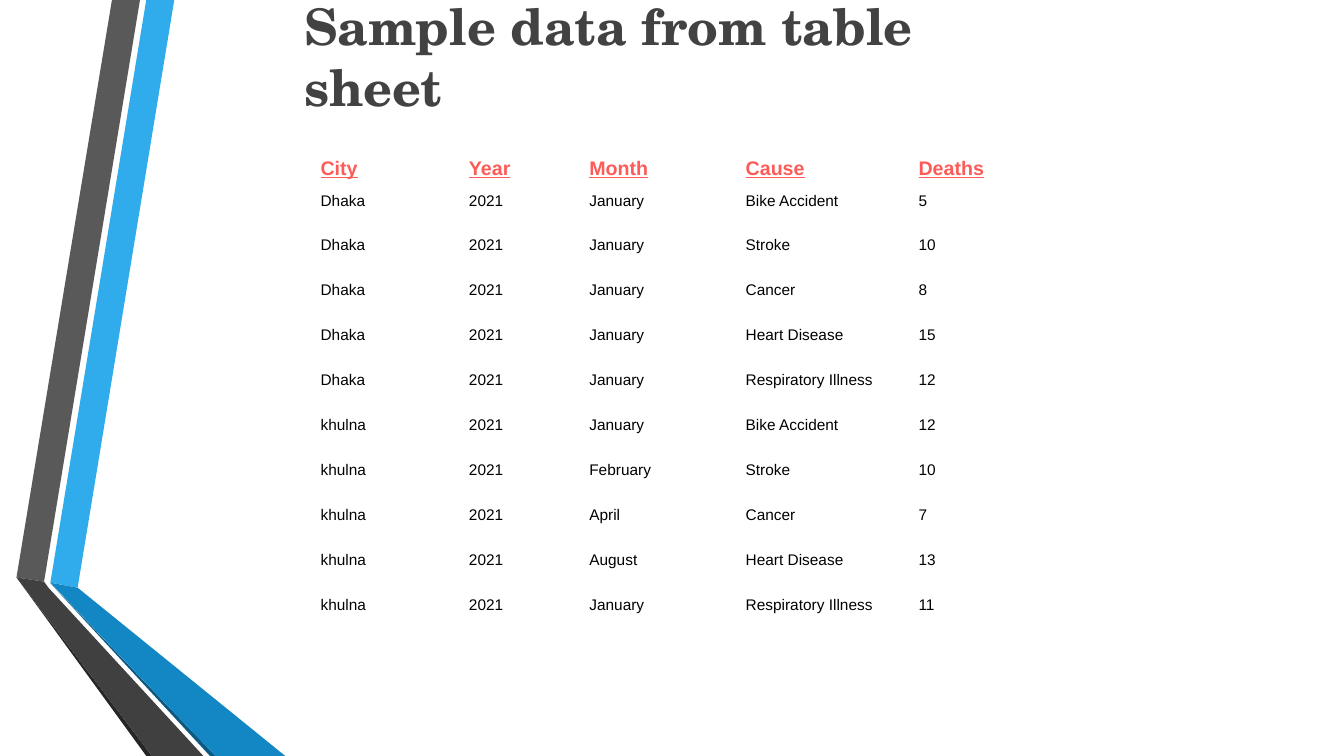
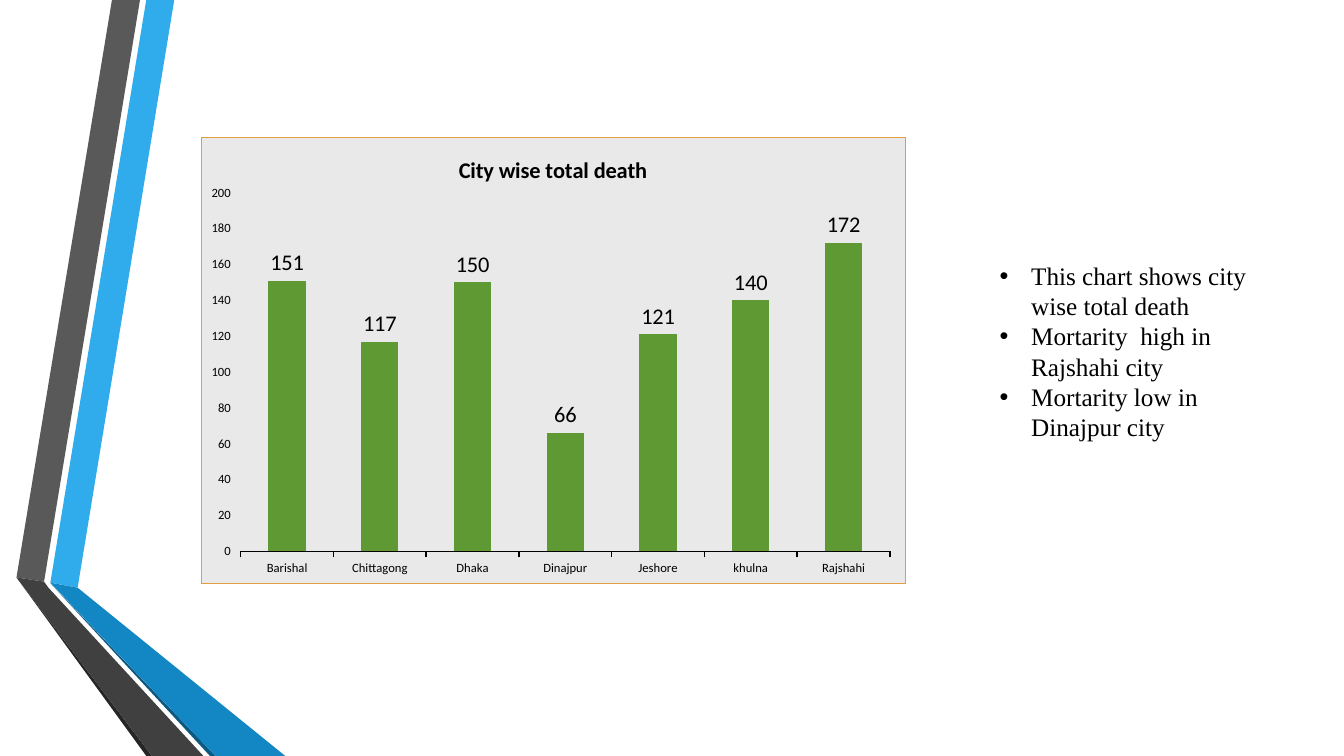
from dataclasses import dataclass

from lxml import etree
from pptx import Presentation
from pptx.chart.data import CategoryChartData
from pptx.dml.color import RGBColor
from pptx.enum.chart import XL_CHART_TYPE, XL_LABEL_POSITION, XL_TICK_MARK
from pptx.enum.text import MSO_ANCHOR, MSO_AUTO_SIZE, PP_ALIGN
from pptx.oxml import parse_xml
from pptx.oxml.ns import nsdecls, qn
from pptx.util import Pt

COLUMNS = XL_CHART_TYPE.COLUMN_CLUSTERED
LABEL_ABOVE = XL_LABEL_POSITION.OUTSIDE_END
TICK_OUT = XL_TICK_MARK.OUTSIDE
MIDDLE, TOP = MSO_ANCHOR.MIDDLE, MSO_ANCHOR.TOP
NO_FIT = MSO_AUTO_SIZE.NONE
LEFT = PP_ALIGN.LEFT
TITLE_ONLY, BLANK = 5, 6


@dataclass(frozen=True)
class Theme:
    black: str = "000000"
    bar: str = "5F9934"
    chart_fill: str = "E9E9E9"
    chart_border: str = "E29D3E"
    sky: str = "30ACEC"
    blue: str = "1287C3"
    navy: str = "0C5A82"
    grey: str = "595959"
    charcoal: str = "404040"
    coal: str = "262626"
    title: tuple = ("TeX Gyre Schola", 36, "424242", True)
    table_head: tuple = ("Arial", 14, "FD5B58", True, True)
    table_body: tuple = ("Arial", 11, "000000")
    bullets: tuple = ("Times New Roman", 18, "000000")
    chart_title: tuple = ("Calibri", 16, "000000", True)
    chart_axis: tuple = ("Calibri", 9, "000000")
    chart_label: tuple = ("Calibri", 16, "000000")


THEME = Theme()

# Corners in points, from back to front
BANDS = [
    (THEME.sky, [(36, 416.2), (55.5, 419.8), (124.5, 0), (104.5, 0)]),
    (THEME.grey, [(100, 0), (80, 0), (11.8, 412.5), (31.5, 415.5)]),
    (THEME.coal, [(11.8, 412.5), (104.5, 540), (108.6, 540)]),
    (THEME.navy, [(36, 416.6), (150, 540), (154, 540)]),
    (THEME.blue, [(36, 416.2), (154, 540), (203.8, 540), (55.5, 419.8)]),
    (THEME.charcoal, [(145.3, 540), (34.6, 419.8), (31.5, 415.5),
                      (11.8, 412.5), (108.6, 540)]),
]

DEATH_HEADINGS = ["City", "Year", "Month", "Cause", "Deaths"]
DEATH_RECORDS = [
    ("Dhaka", "2021", "January", "Bike Accident", "5"),
    ("Dhaka", "2021", "January", "Stroke", "10"),
    ("Dhaka", "2021", "January", "Cancer", "8"),
    ("Dhaka", "2021", "January", "Heart Disease", "15"),
    ("Dhaka", "2021", "January", "Respiratory Illness", "12"),
    ("khulna", "2021", "January", "Bike Accident", "12"),
    ("khulna", "2021", "February", "Stroke", "10"),
    ("khulna", "2021", "April", "Cancer", "7"),
    ("khulna", "2021", "August", "Heart Disease", "13"),
    ("khulna", "2021", "January", "Respiratory Illness", "11"),
]
CITY_DEATHS = {"Barishal": 151, "Chittagong": 117, "Dhaka": 150,
               "Dinajpur": 66, "Jeshore": 121, "khulna": 140,
               "Rajshahi": 172}
FINDINGS = [
    "This chart shows city wise total death",
    "Mortarity  high in Rajshahi city",
    "Mortarity low in Dinajpur city",
]


# Formatting
def apply(target, values):
    for name, value in values.items():
        setattr(target, name, value)


def style_font(font, style):
    name, size, color, bold, underline = (*style, False, False)[:5]
    apply(font, {"name": name, "size": Pt(size), "bold": bold,
                 "underline": underline})
    font.color.rgb = RGBColor.from_string(color)


def paint(fill, color):
    fill.solid()
    fill.fore_color.rgb = RGBColor.from_string(color)


def place(shape, left, top, width, height):
    apply(shape, {"left": Pt(left), "top": Pt(top),
                  "width": Pt(width), "height": Pt(height)})


# Shared slide parts
def add_slide(deck, layout):
    page = deck.slides.add_slide(deck.slide_layouts[layout])
    for color, corners in BANDS:
        start, *others = [(Pt(x), Pt(y)) for x, y in corners]
        builder = page.shapes.build_freeform(*start, scale=1.0)
        builder.add_line_segments(others, close=True)
        band = builder.convert_to_shape()
        band.shadow.inherit = False
        band.line.fill.background()
        paint(band.fill, color)
    return page


def set_title(page, text, bounds):
    title = page.shapes.title
    place(title, *bounds)
    frame = title.text_frame
    apply(frame, {"text": text, "word_wrap": True, "auto_size": NO_FIT,
                  "vertical_anchor": MIDDLE})
    para = frame.paragraphs[0]
    para.alignment = LEFT
    style_font(para.runs[0].font, THEME.title)


# Table
def fill_cell(cell, text, style):
    margin = Pt(4.5)
    apply(cell, {"text": text, "vertical_anchor": TOP,
                 "margin_left": margin, "margin_right": margin,
                 "margin_top": margin, "margin_bottom": margin})
    cell.fill.background()
    style_font(cell.text_frame.paragraphs[0].runs[0].font, style)


def add_records_table(page, left, top, widths, head_height, row_height):
    rows = [DEATH_HEADINGS, *DEATH_RECORDS]
    height = head_height + row_height * len(DEATH_RECORDS)
    table = page.shapes.add_table(
        len(rows), len(widths), Pt(left), Pt(top),
        Pt(sum(widths)), Pt(height)).table
    apply(table, {"first_row": False, "horz_banding": False})
    for column, width in zip(table.columns, widths):
        column.width = Pt(width)
    for index, (row, texts) in enumerate(zip(table.rows, rows)):
        row.height = Pt(row_height if index else head_height)
        style = THEME.table_body if index else THEME.table_head
        for cell, text in zip(row.cells, texts):
            fill_cell(cell, text, style)


# Chart
def set_chart_layout(parent, index, values):
    """Place a chart part by fractions of the chart area."""
    layout = parent.find(qn("c:layout"))
    if layout is not None:
        parent.remove(layout)
    layout = parse_xml(f"<c:layout {nsdecls('c')}><c:manualLayout/></c:layout>")
    for tag, value in values.items():
        etree.SubElement(layout[0], qn(f"c:{tag}")).set("val", str(value))
    parent.insert(index, layout)


def set_chart_area(chart, fill, border):
    area = parse_xml(
        f"<c:spPr {nsdecls('c', 'a')}>"
        f'<a:solidFill><a:srgbClr val="{fill}"/></a:solidFill>'
        f'<a:ln w="{Pt(0.5)}"><a:solidFill><a:srgbClr val="{border}"/>'
        "</a:solidFill></a:ln></c:spPr>")
    chart.element.find(qn("c:chart")).addnext(area)


def style_axes(chart):
    for axis in (chart.category_axis, chart.value_axis):
        apply(axis, {"has_major_gridlines": False,
                     "major_tick_mark": TICK_OUT})
        style_font(axis.tick_labels.font, THEME.chart_axis)
    line = chart.category_axis.format.line
    line.width = Pt(1)
    paint(line.fill, THEME.black)
    apply(chart.value_axis, {"minimum_scale": 0, "maximum_scale": 200,
                             "major_unit": 20})
    chart.value_axis.format.line.fill.background()


def add_city_chart(page, bounds):
    data = CategoryChartData()
    data.categories = list(CITY_DEATHS)
    data.add_series("Series 1", list(CITY_DEATHS.values()))
    chart = page.shapes.add_chart(COLUMNS, *map(Pt, bounds), data).chart
    chart.has_legend = False
    style_font(chart.font, THEME.chart_axis)
    set_chart_area(chart, THEME.chart_fill, THEME.chart_border)
    style_axes(chart)

    # Heading and plot position
    heading = chart.chart_title
    heading.text_frame.text = "City wise total death"
    style_font(heading.text_frame.paragraphs[0].runs[0].font,
               THEME.chart_title)
    set_chart_layout(heading._element, 1, {
        "xMode": "edge", "yMode": "edge", "x": 0.36, "y": 0.03})
    plot = chart.plots[0]
    set_chart_layout(plot._element.getparent(), 0, {
        "layoutTarget": "inner", "xMode": "edge", "yMode": "edge",
        "x": 0.056, "y": 0.124, "w": 0.922, "h": 0.804})

    # Bars and their values
    apply(plot, {"gap_width": 150, "vary_by_categories": False,
                 "has_data_labels": True})
    paint(plot.series[0].format.fill, THEME.bar)
    labels = plot.data_labels
    apply(labels, {"show_value": True, "position": LABEL_ABOVE})
    style_font(labels.font, THEME.chart_label)


# Bulleted text
def add_bullets(page, texts, bounds, indent):
    frame = page.shapes.add_textbox(*map(Pt, bounds)).text_frame
    frame.word_wrap = True
    for index, text in enumerate(texts):
        para = frame.add_paragraph() if index else frame.paragraphs[0]
        span = para.add_run()
        span.text = text
        style_font(span.font, THEME.bullets)
        properties = para._p.get_or_add_pPr()
        properties.set("marL", str(Pt(indent)))
        properties.set("indent", str(-Pt(indent)))
        etree.SubElement(properties, qn("a:buFont")).set("typeface", "Arial")
        etree.SubElement(properties, qn("a:buChar")).set("char", "•")


def main():
    deck = Presentation()
    apply(deck, {"slide_width": Pt(960), "slide_height": Pt(540)})

    page = add_slide(deck, TITLE_ONLY)
    set_title(page, "Sample data from table sheet", (210, 14.4, 523.5, 51))
    add_records_table(page, 224.5, 108, [106, 86, 111.7, 123.5, 98.5],
                      head_height=23, row_height=32.1)

    page = add_slide(deck, BLANK)
    add_city_chart(page, (143.5, 98, 503.5, 319.2))
    add_bullets(page, FINDINGS, (707, 182.4, 204, 138), indent=22.5)

    deck.save("out.pptx")


if __name__ == "__main__":
    main()
